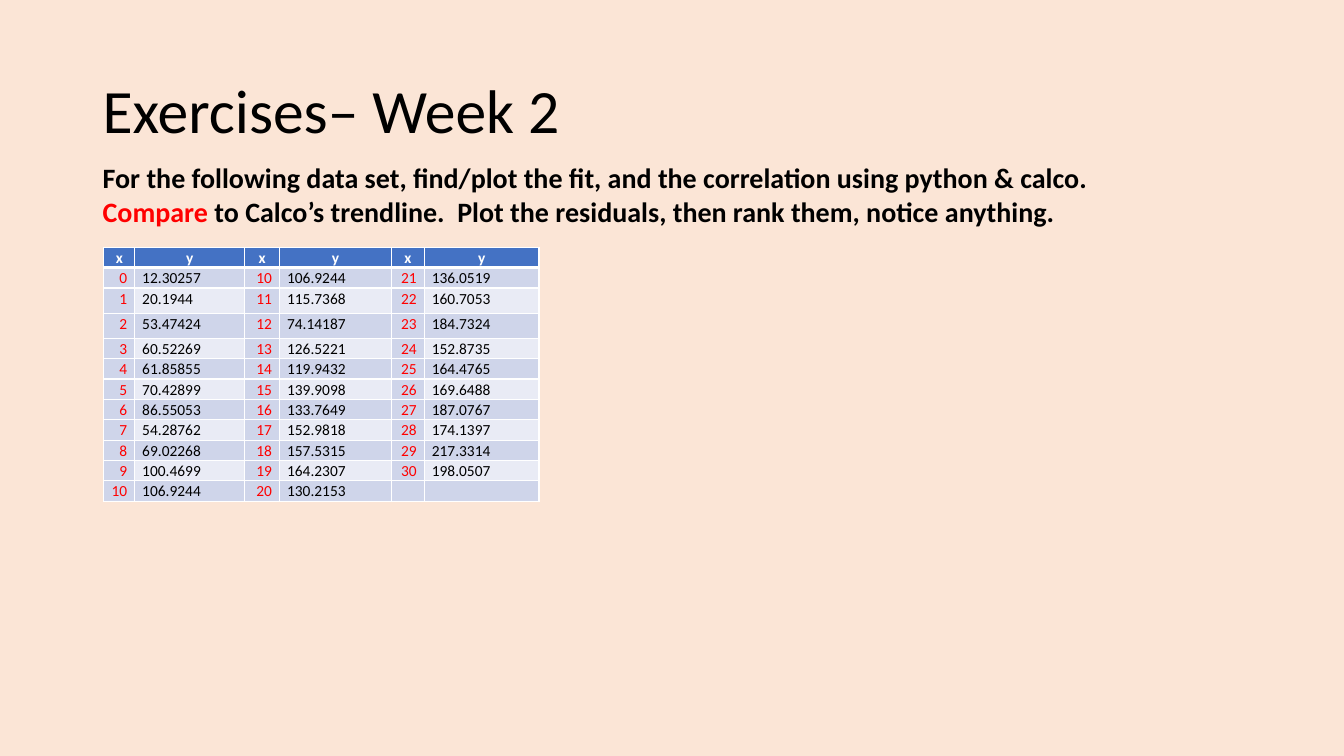
from dataclasses import dataclass
from itertools import chain, zip_longest

from lxml.etree import SubElement
from pptx import Presentation
from pptx.dml.color import RGBColor
from pptx.enum.text import MSO_ANCHOR, PP_ALIGN
from pptx.oxml.ns import qn
from pptx.slide import Slide
from pptx.table import _Cell as Cell
from pptx.util import Pt


@dataclass(frozen=True)
class Theme:
    font: str = "Calibri"
    background: str = "FBE5D6"
    ink: str = "000000"
    accent: str = "FF0000"
    white: str = "FFFFFF"
    header: str = "4472C4"
    dark_band: str = "CFD5EA"
    light_band: str = "E9EBF5"
    title_size: float = 44
    task_size: float = 20
    table_size: float = 11


@dataclass(frozen=True)
class Span:
    text: str
    color: str
    size: float
    bold: bool = False


@dataclass(frozen=True)
class TextBlock:
    left: float
    top: float
    width: float
    height: float
    spans: tuple[Span, ...]
    line_spacing: float = 1.0


@dataclass(frozen=True)
class Series:
    first_x: int
    y_values: tuple[str, ...]
    x_width: float
    y_width: float

    def points(self) -> list[tuple[str, str]]:
        return [(str(x), y) for x, y in enumerate(self.y_values, self.first_x)]


THEME = Theme()

TEXT_BLOCKS = (
    TextBlock(66.24, 28.8, 828, 104.4,
              (Span("Exercises– Week 2", THEME.ink, THEME.title_size),), 0.9),
    TextBlock(66.24, 111.3, 794, 55.4, (
        Span("For the following data set, find/plot the fit, and the correlation "
             "using python & calco.  ", THEME.ink, THEME.task_size, True),
        Span("Compare", THEME.accent, THEME.task_size, True),
        Span(" to Calco’s trendline.  Plot the residuals, then rank them, "
             "notice anything.", THEME.ink, THEME.task_size, True),
    )),
)

DATA = (
    Series(0, ("12.30257", "20.1944", "53.47424", "60.52269", "61.85855", "70.42899",
               "86.55053", "54.28762", "69.02268", "100.4699", "106.9244"), 22, 78.5),
    Series(10, ("106.9244", "115.7368", "74.14187", "126.5221", "119.9432", "139.9098",
                "133.7649", "152.9818", "157.5315", "164.2307", "130.2153"), 25, 80),
    Series(21, ("136.0519", "160.7053", "184.7324", "152.8735", "164.4765", "169.6488",
                "187.0767", "174.1397", "217.3314", "198.0507"), 23.4, 82),
)
TABLE_LEFT, TABLE_TOP = 74.2, 176.6
ROW_HEIGHT, TALL_ROW_HEIGHT = 14.5, 18
TALL_ROWS = (2, 3)


def add_text(slide: Slide, block: TextBlock) -> None:
    box = slide.shapes.add_textbox(
        Pt(block.left), Pt(block.top), Pt(block.width), Pt(block.height))
    frame = box.text_frame
    frame.word_wrap = True
    frame.vertical_anchor = MSO_ANCHOR.MIDDLE
    para = frame.paragraphs[0]
    para.line_spacing = block.line_spacing
    for span in block.spans:
        run = para.add_run()
        run.text = span.text
        run.font.name = THEME.font
        run.font.size = Pt(span.size)
        run.font.bold = span.bold
        run.font.color.rgb = RGBColor.from_string(span.color)


def set_borders(cell: Cell, top: float, bottom: float) -> None:
    properties = cell._tc.get_or_add_tcPr()
    for tag, width in (("a:lnL", 1), ("a:lnR", 1), ("a:lnT", top), ("a:lnB", bottom)):
        line = SubElement(properties, qn(tag), w=str(Pt(width)))
        fill = SubElement(line, qn("a:solidFill"))
        SubElement(fill, qn("a:srgbClr"), val=THEME.white)


def fill_cell(cell: Cell, text: str, row: int, column: int) -> None:
    is_header, is_x = row == 0, column % 2 == 0
    if is_header:
        background, color, align = THEME.header, THEME.white, PP_ALIGN.CENTER
    elif is_x:
        background, color, align = THEME.dark_band, THEME.accent, PP_ALIGN.RIGHT
    else:
        background = THEME.dark_band if row % 2 else THEME.light_band
        color, align = THEME.ink, PP_ALIGN.LEFT

    set_borders(cell, 3 if row == 1 else 1, 3 if is_header else 1)
    cell.fill.solid()
    cell.fill.fore_color.rgb = RGBColor.from_string(background)
    cell.margin_left = cell.margin_right = Pt(5.4)
    cell.margin_top = cell.margin_bottom = 0
    para = cell.text_frame.paragraphs[0]
    para.text = text
    para.alignment = align
    para.line_spacing = 1.07
    for run in para.runs:
        run.font.name = THEME.font
        run.font.size = Pt(THEME.table_size)
        run.font.bold = is_header
        run.font.color.rgb = RGBColor.from_string(color)
    if not text:
        SubElement(para._p, qn("a:endParaRPr"), sz=str(int(THEME.table_size * 100)))


def add_data_table(slide: Slide) -> None:
    points = zip_longest(*(series.points() for series in DATA), fillvalue=("", ""))
    rows = [("x", "y") * len(DATA), *(tuple(chain(*row)) for row in points)]
    widths = [width for series in DATA for width in (series.x_width, series.y_width)]
    heights = [TALL_ROW_HEIGHT if row in TALL_ROWS else ROW_HEIGHT
               for row in range(len(rows))]
    table = slide.shapes.add_table(
        len(rows), len(widths), Pt(TABLE_LEFT), Pt(TABLE_TOP),
        Pt(sum(widths)), Pt(sum(heights))).table
    for column, width in zip(table.columns, widths):
        column.width = Pt(width)
    for row, height in zip(table.rows, heights):
        row.height = Pt(height)
    for row_index, row in enumerate(rows):
        for column_index, text in enumerate(row):
            fill_cell(table.cell(row_index, column_index), text, row_index, column_index)


def main() -> None:
    deck = Presentation()
    deck.slide_width, deck.slide_height = Pt(960), Pt(540)
    page = deck.slides.add_slide(deck.slide_layouts[6])
    page.background.fill.solid()
    page.background.fill.fore_color.rgb = RGBColor.from_string(THEME.background)
    add_data_table(page)
    for block in TEXT_BLOCKS:
        add_text(page, block)
    deck.save("out.pptx")


if __name__ == "__main__":
    main()
